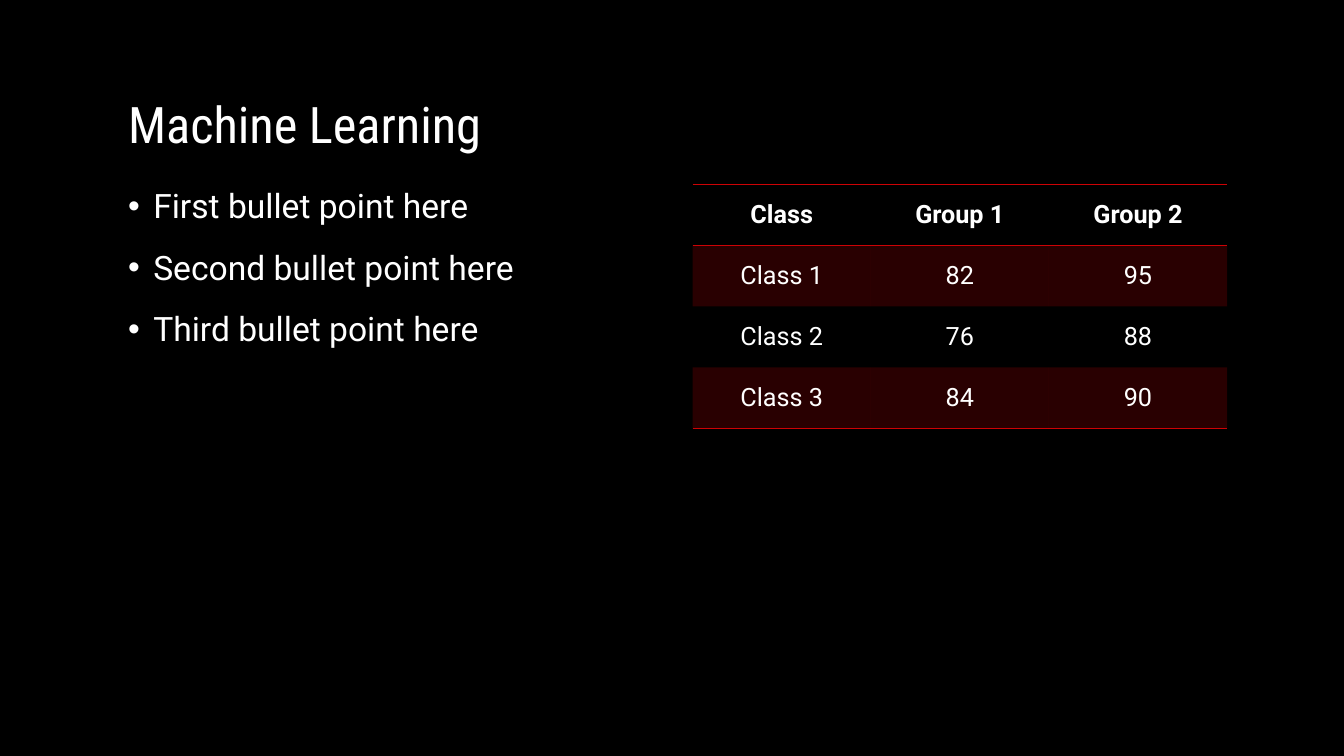
from dataclasses import dataclass

from lxml.etree import SubElement
from pptx import Presentation
from pptx.dml.color import RGBColor
from pptx.enum.text import MSO_ANCHOR, MSO_AUTO_SIZE, PP_ALIGN
from pptx.oxml.ns import qn
from pptx.util import Inches, Pt


@dataclass(frozen=True)
class Theme:
    background: str = "000000"
    text: str = "FFFFFF"
    accent: str = "CD0205"
    band_opacity: int = 20
    heading_font: str = "Roboto Condensed"
    body_font: str = "Roboto"
    title_size: int = 36
    list_size: int = 24
    table_size: int = 18
    rule_width: int = 1


theme = Theme()


def write(para, text, font=theme.body_font, size=theme.list_size, bold=False,
          align=PP_ALIGN.LEFT, line_spacing=1.0, space_before=0):
    para.alignment = align
    para.line_spacing = line_spacing
    para.space_before = Pt(space_before)
    span = para.add_run()
    span.text = text
    span.font.name = font
    span.font.size = Pt(size)
    span.font.bold = bold
    span.font.color.rgb = RGBColor.from_string(theme.text)


def set_border(cell, side, visible):
    line = SubElement(cell._tc.get_or_add_tcPr(), qn(f"a:ln{side}"),
                      w=str(Pt(theme.rule_width) if visible else 0))
    if visible:
        fill = SubElement(line, qn("a:solidFill"))
        SubElement(fill, qn("a:srgbClr"), val=theme.accent)
    else:
        SubElement(line, qn("a:noFill"))


# Page and its two-column grid
deck = Presentation()
deck.slide_width, deck.slide_height = Inches(13.33), Inches(7.5)
page = deck.slides.add_slide(deck.slide_layouts[1])
page.background.fill.solid()
page.background.fill.fore_color.rgb = RGBColor.from_string(theme.background)

column_width, gutter = Inches(5.3), Inches(0.4)
left_column = Inches(1.17)
right_column = left_column + column_width + gutter
content_top = Inches(1.83)

# Title
title = page.shapes.title
title.left, title.top = left_column, Inches(0.33)
title.width, title.height = 2 * column_width + gutter, Inches(1.25)
title.text_frame.auto_size = MSO_AUTO_SIZE.NONE
title.text_frame.vertical_anchor = MSO_ANCHOR.BOTTOM
write(title.text_frame.paragraphs[0], "Machine Learning",
      font=theme.heading_font, size=theme.title_size, line_spacing=0.9)

# Bullet list
bullets = ["First bullet point here", "Second bullet point here", "Third bullet point here"]
body = page.placeholders[1]
body.left, body.top = left_column, content_top
body.width, body.height = column_width, Inches(4.75)
body.text_frame.auto_size = MSO_AUTO_SIZE.NONE
for index, bullet in enumerate(bullets):
    para = body.text_frame.add_paragraph() if index else body.text_frame.paragraphs[0]
    write(para, bullet, line_spacing=0.9, space_before=18)
    properties = para._p.get_or_add_pPr()
    properties.set("marL", str(Inches(0.25)))
    properties.set("indent", str(-Inches(0.25)))
    SubElement(properties, qn("a:buFont"), typeface="Arial")
    SubElement(properties, qn("a:buChar"), char="•")

# Table of class results
results = [
    ["Class", "Group 1", "Group 2"],
    ["Class 1", "82", "95"],
    ["Class 2", "76", "88"],
    ["Class 3", "84", "90"],
]
ruled_edges = {0, 1, len(results)}
table = page.shapes.add_table(len(results), len(results[0]), right_column, content_top,
                              column_width, Inches(2.42)).table
table.first_row = True
table.horz_banding = False
for row, values in enumerate(results):
    for column, value in enumerate(values):
        cell = table.cell(row, column)
        cell.vertical_anchor = MSO_ANCHOR.MIDDLE
        write(cell.text_frame.paragraphs[0], value, size=theme.table_size,
              bold=row == 0, align=PP_ALIGN.CENTER)

        # Rules above and below the header and under the last row
        set_border(cell, "L", False)
        set_border(cell, "R", False)
        set_border(cell, "T", row in ruled_edges)
        set_border(cell, "B", row + 1 in ruled_edges)

        # Translucent band on every odd row
        if row % 2:
            cell.fill.solid()
            cell.fill.fore_color.rgb = RGBColor.from_string(theme.accent)
            color = cell._tc.tcPr.find(qn("a:solidFill")).find(qn("a:srgbClr"))
            SubElement(color, qn("a:alpha"), val=str(theme.band_opacity * 1000))
        else:
            cell.fill.background()

deck.save("out.pptx")
